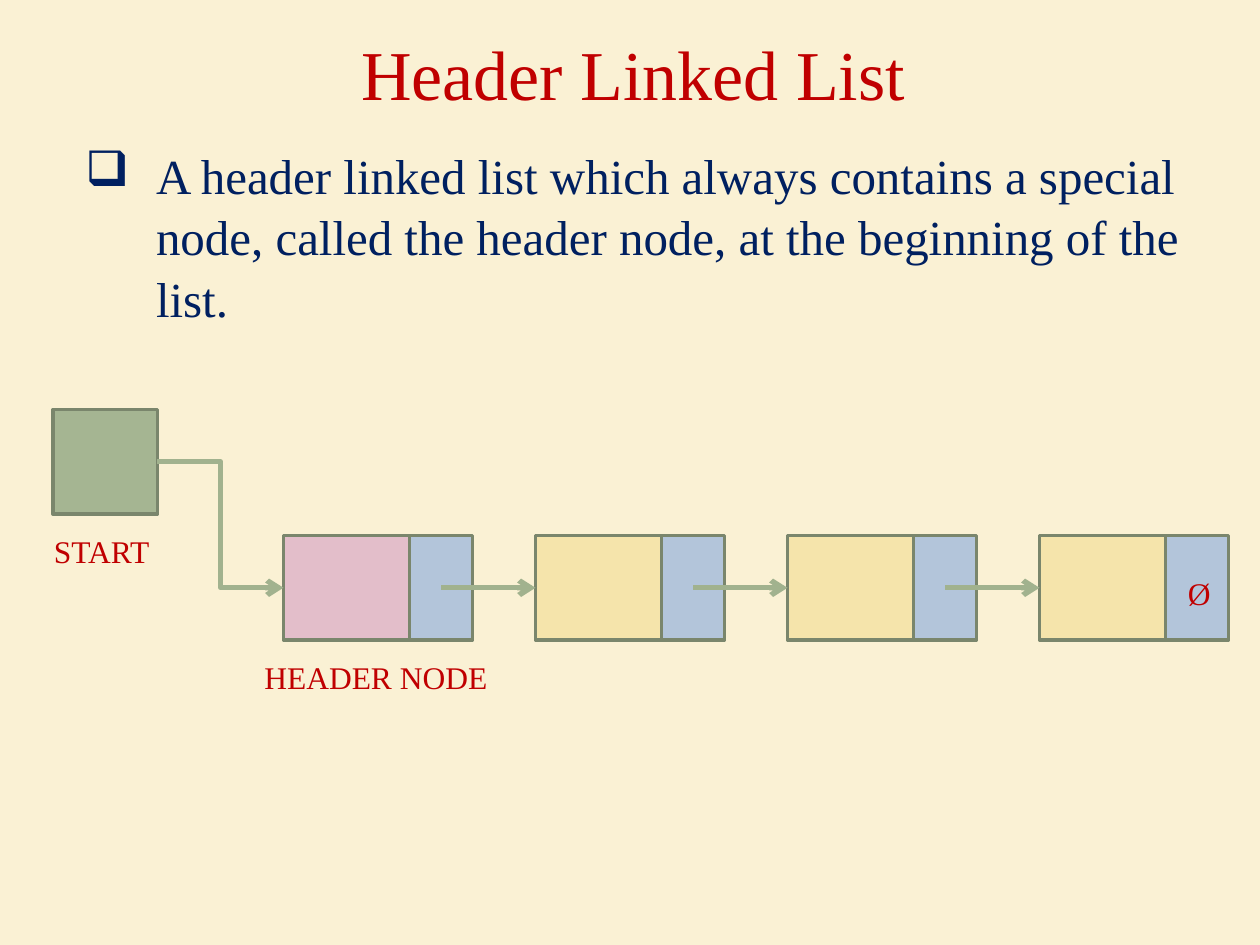
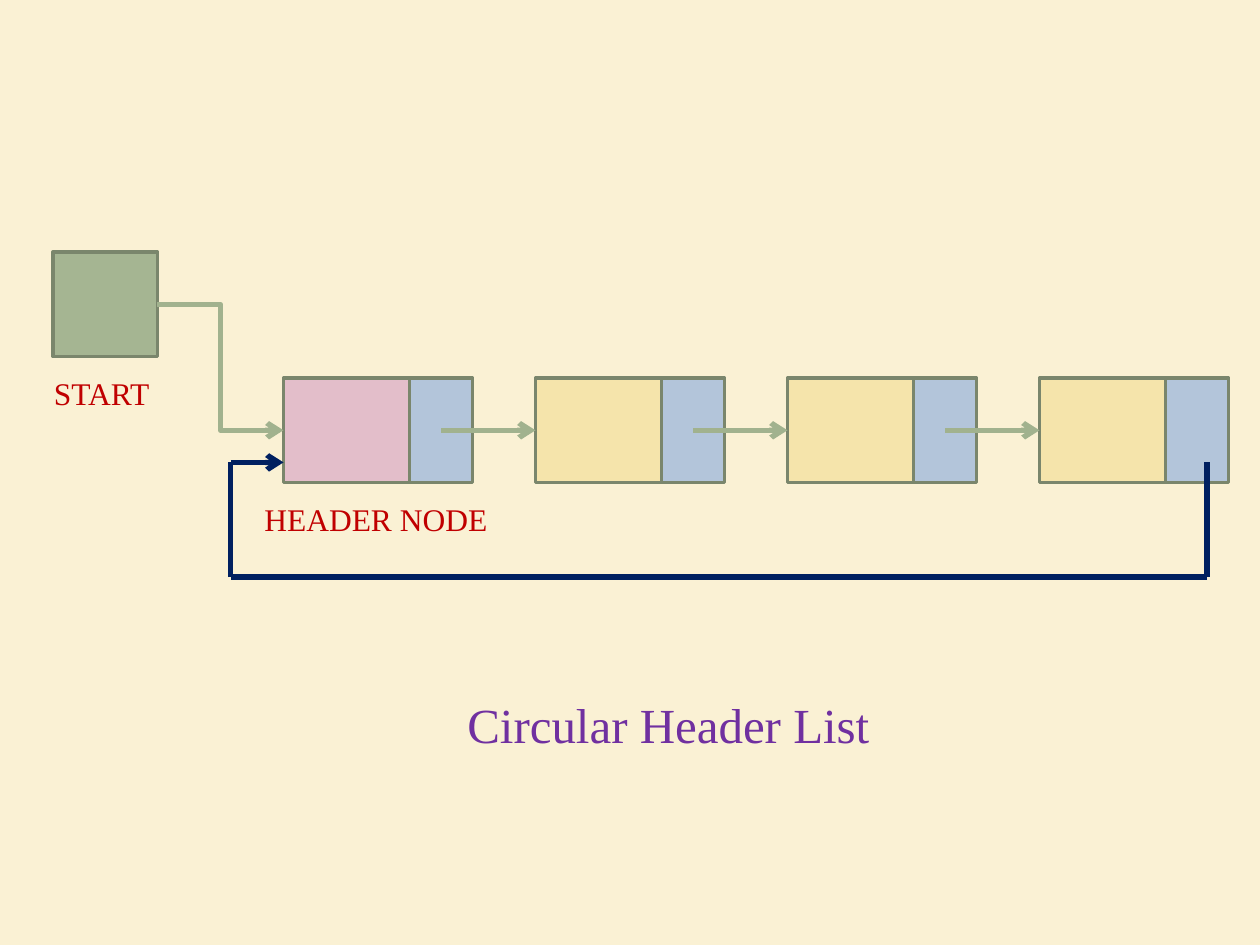
from dataclasses import dataclass

from pptx import Presentation
from pptx import util as u
from pptx.dml.color import RGBColor
from pptx.enum import shapes, text
from pptx.oxml.ns import qn
from lxml import etree


@dataclass(frozen=True)
class Theme:
    font: str = "Times New Roman"
    background: str = "FAF1D4"
    red: str = "C00000"
    navy: str = "002060"
    purple: str = "7030A0"
    start: str = "A5B592"
    header: str = "E3BECA"
    data: str = "F5E4AB"
    pointer: str = "B3C5DA"
    outline: str = "7A866C"
    link: str = "A1B28E"
    title_size: int = 40
    body_size: int = 28
    label_size: int = 18
    outline_width: int = 2
    link_width: int = 3


T = Theme()
CELL_H = 0.83
DATA_W = 1
POINTER_W = 0.5
PITCH = 2
NODE_COUNT = 4


def rgb(value):
    return RGBColor.from_string(value)


def inches(*values):
    return [u.Inches(v) for v in values]


def add_run(p, content, size, color):
    r = p.add_run()
    r.text = content
    r.font.name = T.font
    r.font.size = u.Pt(size)
    r.font.color.rgb = rgb(color)


def add_title(s, box, content, size, color):
    sp = s.shapes.title
    sp.left, sp.top, sp.width, sp.height = inches(*box)
    tf = sp.text_frame
    tf.vertical_anchor = text.MSO_ANCHOR.MIDDLE
    p = tf.paragraphs[0]
    p.alignment = text.PP_ALIGN.CENTER
    add_run(p, content, size, color)


def add_bullet(s, box, content):
    tf = s.shapes.add_textbox(*inches(*box)).text_frame
    tf.word_wrap = True
    p = tf.paragraphs[0]
    p.space_before = u.Pt(4)
    p.line_spacing = 1.05
    pPr = p._p.get_or_add_pPr()
    pPr.set("marL", str(u.Inches(0.56)))
    pPr.set("indent", str(-u.Inches(0.56)))
    etree.SubElement(pPr, qn("a:buChar")).set("char", "❑")
    add_run(p, content, T.body_size, T.navy)


def add_label(s, left, top, width, content, wrap=False):
    tf = s.shapes.add_textbox(*inches(left, top, width, 0.4)).text_frame
    tf.word_wrap = wrap
    tf.auto_size = text.MSO_AUTO_SIZE.SHAPE_TO_FIT_TEXT
    add_run(tf.paragraphs[0], content, T.label_size, T.red)


def add_cell(s, left, top, width, fill):
    sp = s.shapes.add_shape(shapes.MSO_SHAPE.RECTANGLE, *inches(left, top, width, CELL_H))
    sp.shadow.inherit = False
    sp.fill.solid()
    sp.fill.fore_color.rgb = rgb(fill)
    sp.line.color.rgb = rgb(T.outline)
    sp.line.width = u.Pt(T.outline_width)
    return sp


def add_link(s, start, end, color=T.link, arrow=True, kind=shapes.MSO_CONNECTOR.STRAIGHT):
    cx = s.shapes.add_connector(kind, *inches(*start, *end))
    cx.line.color.rgb = rgb(color)
    cx.line.width = u.Pt(T.link_width)
    if arrow:
        etree.SubElement(cx.line._get_or_add_ln(), qn("a:tailEnd")).set("type", "arrow")
    etree.SubElement(cx._element.spPr, qn("a:effectLst"))
    return cx


def add_list_diagram(s, left, top):
    start = add_cell(s, left, top, CELL_H, T.start)
    node_left, node_top = left + 1.83, top + 1
    middle = node_top + CELL_H / 2
    lefts = [node_left + i * PITCH for i in range(NODE_COUNT)]
    nodes = []
    for i, x in enumerate(lefts):
        nodes.append(add_cell(s, x, node_top, DATA_W, T.data if i else T.header))
        add_cell(s, x + DATA_W, node_top, POINTER_W, T.pointer)

    elbow = add_link(s, (left + CELL_H, top + CELL_H / 2), (node_left, middle),
                     kind=shapes.MSO_CONNECTOR.ELBOW)
    elbow.begin_connect(start, 3)
    elbow.end_connect(nodes[0], 1)
    for x, target_left, target in zip(lefts, lefts[1:], nodes[1:]):
        cx = add_link(s, (x + DATA_W + POINTER_W / 2, middle), (target_left, middle))
        cx.end_connect(target, 1)

    add_label(s, left - 0.09, top + 0.92, 0.97, "START")
    add_label(s, node_left - 0.25, node_top + 0.92, 1.99, "HEADER NODE")


def add_null_pointer(s, left, top):
    x = left + 1.83 + (NODE_COUNT - 1) * PITCH + DATA_W
    add_label(s, x + 0.08, top + 1.26, 0.38, "Ø", wrap=True)


def add_return_loop(s, left, top):
    near, far = left + 1.41, left + 9.16
    upper, lower = top + 1.67, top + 2.58
    corners = [(far, upper), (far, lower), (near, lower), (near, upper), (left + 1.83, upper)]
    for i, (a, b) in enumerate(zip(corners, corners[1:])):
        add_link(s, a, b, T.navy, arrow=i == len(corners) - 2)


def header_list_slide(prs):
    s = prs.slides.add_slide(prs.slide_layouts[5])
    add_title(s, (0.55, 0, 8.95, 1.15), "Header Linked List", T.title_size, T.red)
    add_bullet(s, (0.58, 1.08, 9.42, 5.75),
               "A header linked list which always contains a special node, "
               "called the header node, at the beginning of the list.")
    add_list_diagram(s, 0.42, 3.25)
    add_null_pointer(s, 0.42, 3.25)


def circular_list_slide(prs):
    s = prs.slides.add_slide(prs.slide_layouts[5])
    add_title(s, (0.83, 5.17, 8.95, 1.15), "Circular Header List", T.body_size, T.purple)
    add_list_diagram(s, 0.42, 2)
    add_return_loop(s, 0.42, 2)


def main():
    prs = Presentation()
    prs.slide_width, prs.slide_height = inches(10, 7.5)
    fill = prs.slide_master.background.fill
    fill.solid()
    fill.fore_color.rgb = rgb(T.background)
    header_list_slide(prs)
    circular_list_slide(prs)
    prs.save("out.pptx")


if __name__ == "__main__":
    main()
